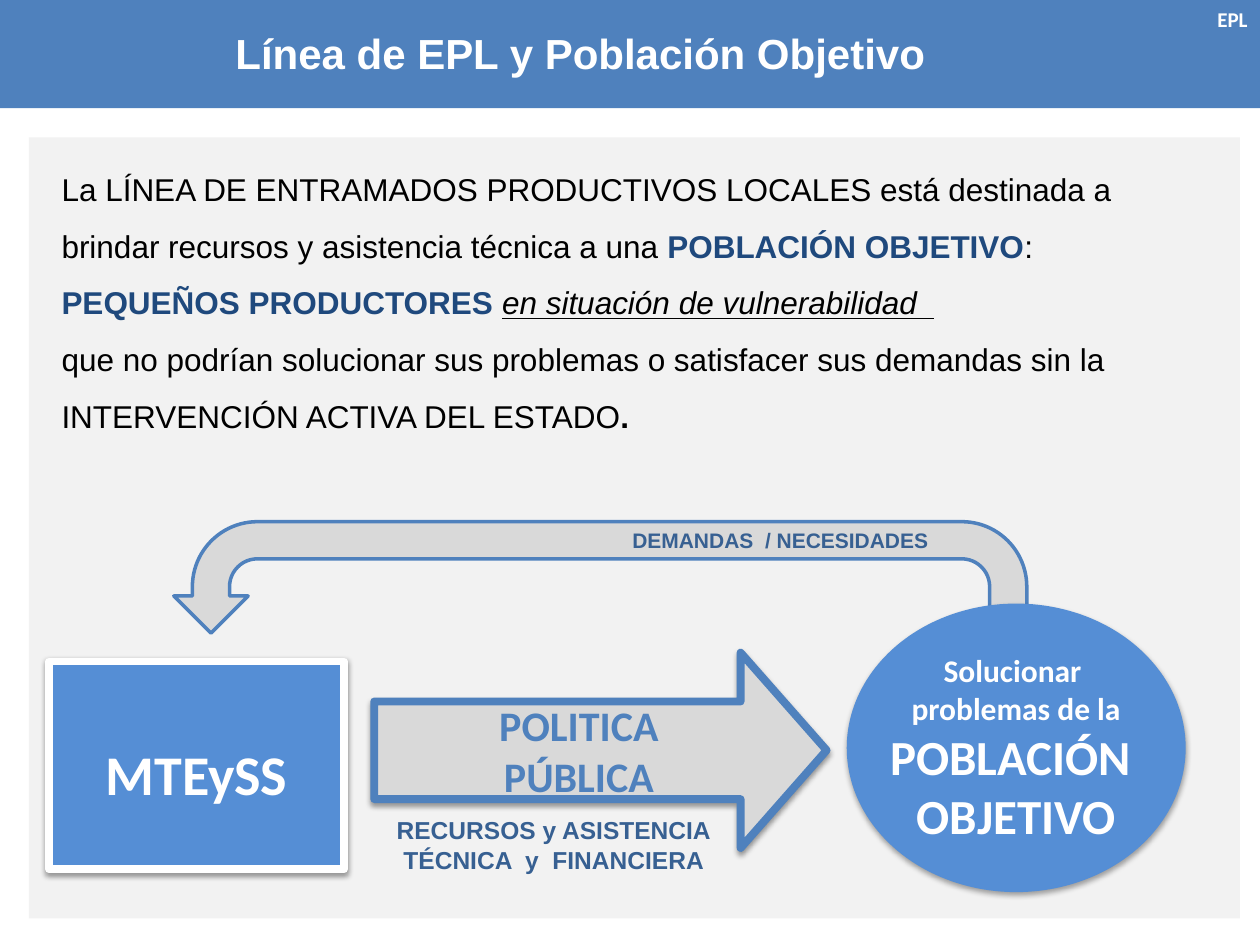
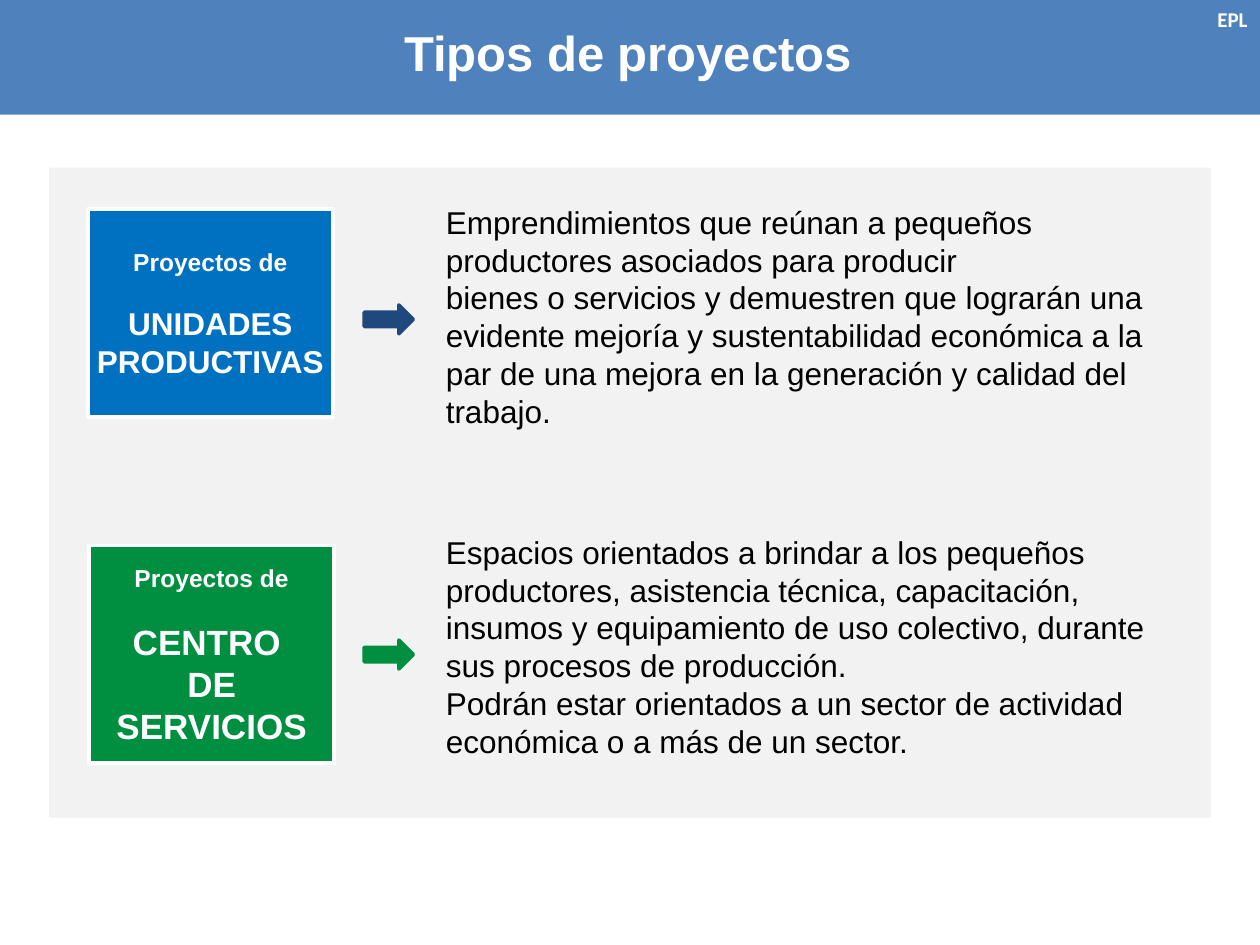
from dataclasses import dataclass

from lxml import etree
from pptx import Presentation
from pptx.dml.color import RGBColor
from pptx.enum.shapes import MSO_SHAPE
from pptx.enum.text import MSO_ANCHOR, PP_ALIGN
from pptx.oxml.ns import qn
from pptx.util import Inches, Pt

RECT, OVAL = MSO_SHAPE.RECTANGLE, MSO_SHAPE.OVAL
ARROW, UTURN = MSO_SHAPE.RIGHT_ARROW, MSO_SHAPE.U_TURN_ARROW
LEFT, CENTER, RIGHT = PP_ALIGN.LEFT, PP_ALIGN.CENTER, PP_ALIGN.RIGHT
TOP, MIDDLE = MSO_ANCHOR.TOP, MSO_ANCHOR.MIDDLE


@dataclass(frozen=True)
class Theme:
    sans: str = "Arial"
    round: str = "Calibri"
    band: str = "4F81BD"
    panel: str = "F2F2F2"
    gray: str = "D9D9D9"
    sky: str = "558ED5"
    steel: str = "376092"
    navy: str = "1F497D"
    blue: str = "0070C0"
    green: str = "008E40"
    white: str = "FFFFFF"
    black: str = "000000"
    tag: int = 12
    note: int = 14
    body: int = 18
    label: int = 24
    big: int = 28
    huge: int = 32


T = Theme()

# Each page: title, title size, title box, band height, panel box
GOAL = ("Línea de EPL y Población Objetivo", T.label,
        (1.77, 0.17, 6.06, 0.51), 0.86, (0.23, 1.09, 9.61, 6.2))
KINDS = ("Tipos de proyectos", T.big,
         (3.44 - 0.33, 0.13, 4.06, 0.57), 0.91, (0.39, 1.33, 9.22, 5.16))

# Runs of the opening text: words and style ("" plain, "key", "bold", "slant")
INTRO = [
    [("La LÍNEA DE ENTRAMADOS PRODUCTIVOS LOCALES está destinada a brindar "
      "recursos y asistencia técnica a una ", ""),
     ("POBLACIÓN OBJETIVO", "key"), (":", "")],
    [("PEQUEÑOS PRODUCTORES ", "key"),
     ("en situación de vulnerabilidad  ", "slant")],
    [("que no podrían solucionar sus problemas o satisfacer sus demandas sin la "
      "INTERVENCIÓN ACTIVA DEL ESTADO", ""), (".", "bold")],
]
POLICY = ["POLITICA", "PÚBLICA"]
AID = ["RECURSOS y ASISTENCIA", " TÉCNICA  y  FINANCIERA"]
NEEDS = ["DEMANDAS  / NECESIDADES"]
TARGET = [("Solucionar ", T.body), ("problemas de la", T.body),
          ("POBLACIÓN ", T.big), ("OBJETIVO", T.big)]

# Project kinds: card box, card colour, arrow colour, name, name size,
# arrow top, text box, text
CARDS = [
    ((0.7, 1.66, 1.94, 1.65), T.blue, T.navy, "UNIDADES\nPRODUCTIVAS", 18,
     2.42, (3.44, 1.56, 6.07, 2.22),
     ["Emprendimientos que reúnan a pequeños productores asociados para producir",
      "bienes o servicios y demuestren que lograrán una evidente mejoría y "
      "sustentabilidad económica a la par de una mejora en la generación y "
      "calidad del trabajo."]),
    ((0.71, 4.33, 1.94, 1.73), T.green, T.green, "CENTRO \nDE\nSERVICIOS", 20,
     5.08, (3.44, 4.18, 6.09, 1.92),
     ["Espacios orientados a brindar a los pequeños productores, asistencia "
      "técnica, capacitación, insumos y equipamiento de uso colectivo, durante "
      "sus procesos de producción.",
      "Podrán estar orientados a un sector de actividad económica o a más de "
      "un sector."]),
]


def tint(code):
    return RGBColor.from_string(code)


def place(box):
    return [Inches(n) for n in box]


def style(font, size, color, face, bold):
    font.size, font.name, font.bold = Pt(size), face, bold
    font.color.rgb = tint(color)


def draw(slide, kind, box, fill, line=None, width=0.0):
    shape = slide.shapes.add_shape(kind, *place(box))
    shape.shadow.inherit = False
    shape.fill.solid()
    shape.fill.fore_color.rgb = tint(fill)
    if line:
        shape.line.color.rgb = tint(line)
        shape.line.width = Pt(width)
    else:
        shape.line.fill.background()
    return shape


def shade(shape, alpha, drop):
    """Cast a soft shadow straight down."""
    effects = shape._element.spPr.find(qn("a:effectLst"))
    outer = etree.SubElement(effects, qn("a:outerShdw"), blurRad=str(Pt(3.1)),
                             dist=str(Pt(drop)), dir="5400000", rotWithShape="0")
    color = etree.SubElement(outer, qn("a:srgbClr"), val=T.black)
    etree.SubElement(color, qn("a:alpha"), val=str(alpha * 1000))


def write(shape, lines, size, color, face=T.sans, bold=True, align=LEFT,
          anchor=TOP, wrap=True):
    """Fill a shape with lines, each a string or a (string, size) pair."""
    frame = shape.text_frame
    frame.word_wrap, frame.vertical_anchor = wrap, anchor
    for i, item in enumerate(lines):
        words, points = item if isinstance(item, tuple) else (item, size)
        par = frame.paragraphs[0] if i == 0 else frame.add_paragraph()
        par.text, par.alignment = words, align
        style(par.font, points, color, face, bold)
    return frame


def note(slide, box, lines, size, color, **look):
    return write(slide.shapes.add_textbox(*place(box)), lines, size, color, **look)


def start(deck, title, size, box, height, panel):
    """Add a slide with its band, title, tag and panel."""
    slide = deck.slides.add_slide(deck.slide_layouts[6])
    draw(slide, RECT, panel, T.panel)
    draw(slide, RECT, (0, 0, 10, height), T.band)
    note(slide, box, [title], size, T.white)
    note(slide, (9.55, 0, 0.45, 0.3), ["EPL"], T.tag, T.white, face=T.round,
         align=RIGHT, wrap=False)
    return slide


def tell(slide):
    """Write the opening text with its mixed runs."""
    frame = slide.shapes.add_textbox(*place((0.39, 1.15, 9.14, 2.36))).text_frame
    frame.word_wrap = True
    for i, runs in enumerate(INTRO):
        par = frame.paragraphs[0] if i == 0 else frame.add_paragraph()
        par.line_spacing = 1.5
        for words, look in runs:
            run = par.add_run()
            run.text = words
            style(run.font, T.body, T.navy if look == "key" else T.black,
                  T.sans, look in ("key", "bold"))
            if look == "slant":
                run.font.italic = run.font.underline = True


def goal(deck):
    slide = start(deck, *GOAL)
    tell(slide)

    loop = draw(slide, UTURN, (1.38, 4.14, 6.77, 1.18), T.gray, T.band, 2)
    loop._element.spPr.find(qn("a:xfrm")).set("flipH", "1")
    note(slide, (4.92, 4.14, 3.06, 0.3), NEEDS, T.tag, T.steel)

    office = draw(slide, RECT, (0.39, 5.25, 2.34, 1.65), T.sky, T.white, 4.5)
    shade(office, 38, 1.6)
    frame = write(office, ["MTEySS"], T.huge, T.white, face=T.round,
                  align=CENTER, anchor=MIDDLE)
    frame.margin_top = Inches(0.17)

    people = draw(slide, OVAL, (6.72, 4.79, 2.69, 2.29), T.sky)
    shade(people, 35, 1.8)
    write(people, TARGET, T.body, T.white, face=T.round, align=CENTER,
          anchor=MIDDLE, wrap=False)

    policy = draw(slide, ARROW, (2.97, 5.18, 3.59, 1.55), T.gray, T.band, 4.5)
    policy.adjustments[1] = 0.44
    shade(policy, 38, 1.6)
    write(policy, POLICY, T.label, T.band, face=T.round, align=CENTER,
          anchor=MIDDLE, wrap=False)
    note(slide, (3.05, 6.42, 2.73, 0.88), AID, T.note, T.steel)


def kinds(deck):
    slide = start(deck, *KINDS)
    for box, fill, dark, name, size, top, area, text in CARDS:
        card = draw(slide, RECT, box, fill, T.white, 2.25)
        frame = write(card, [("Proyectos de", T.note), (name, size)], size,
                      T.white, align=CENTER, anchor=MIDDLE, wrap=False)
        frame.paragraphs[1].space_before = Pt(16)
        draw(slide, ARROW, (2.89, top, 0.39, 0.23), dark, dark, 2)
        note(slide, area, text, T.body, T.black, bold=False)


def main():
    deck = Presentation()
    deck.slide_width, deck.slide_height = Inches(10), Inches(7.5)
    goal(deck)
    kinds(deck)
    deck.save("out.pptx")


if __name__ == "__main__":
    main()
